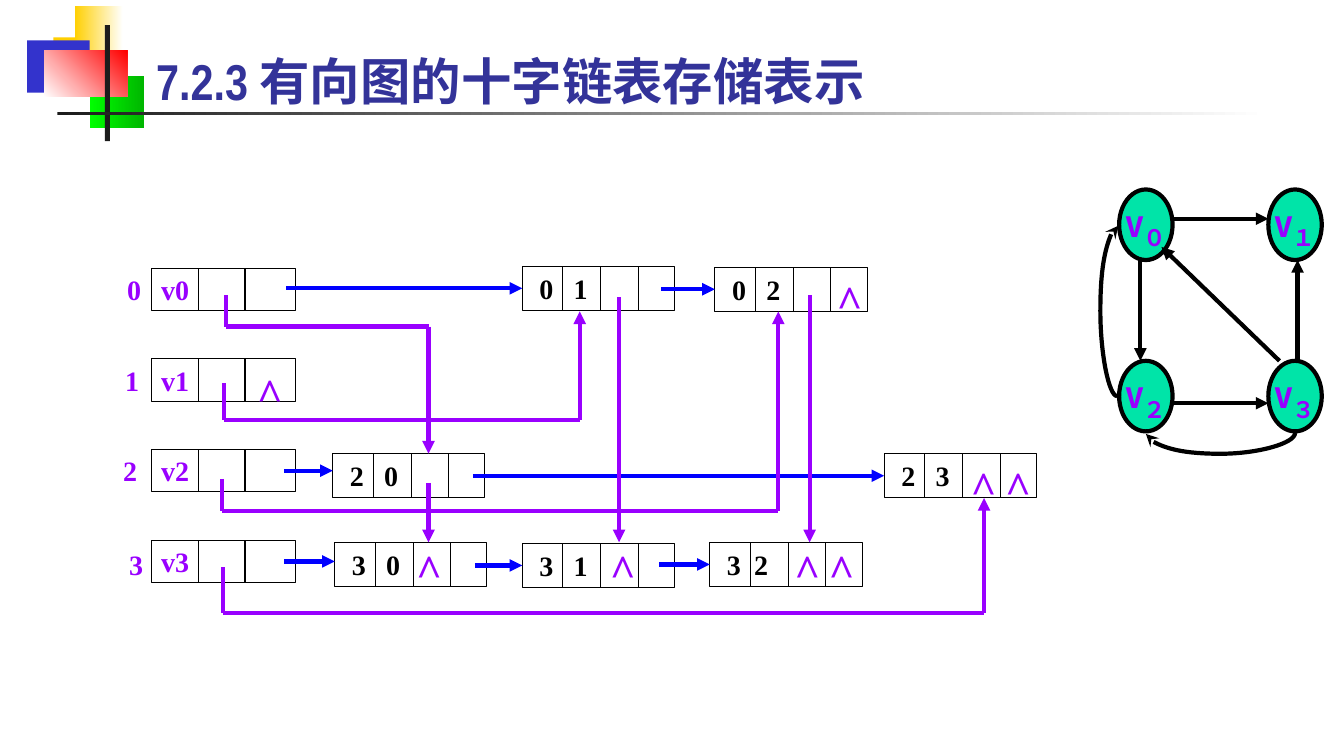
from dataclasses import dataclass
from itertools import pairwise
from typing import Any

import pptx
import pptx.dml.color
import pptx.enum.shapes
import pptx.enum.text
import pptx.oxml
import pptx.oxml.ns
import pptx.util

PX = 9144  # one px is a hundredth of an inch
KIND = pptx.enum.shapes.MSO_SHAPE
LINK = pptx.enum.shapes.MSO_CONNECTOR
ALIGN = pptx.enum.text.PP_ALIGN
ANCHOR = pptx.enum.text.MSO_ANCHOR
qn = pptx.oxml.ns.qn

Point = tuple[int, int]


@dataclass(frozen=True)
class Theme:
    black: str = "000000"
    white: str = "FFFFFF"
    blue: str = "0000FF"
    violet: str = "9900FF"
    mint: str = "00E4A8"
    title: str = "333399"
    gold: str = "FFCF01"
    navy: str = "3333CC"
    lime: str = "00FF00"
    green: str = "00B600"
    red: str = "FF0000"
    coal: str = "1C1C1C"
    serif: str = "Times New Roman"
    narrow: str = "Arial Narrow"
    cell: int = 20
    vertex: int = 28
    nil: int = 32
    head: int = 36
    thin: float = 0.75
    thick: float = 3


@dataclass(frozen=True)
class Box:
    left: int
    top: int
    width: int
    height: int


@dataclass(frozen=True)
class Block:
    box: Box
    start: str
    end: str = ""
    angle: int = 0


@dataclass(frozen=True)
class Row:
    top: int
    label: Point


@dataclass(frozen=True)
class Node:
    left: int
    top: int
    tail: int
    head: int
    tab: int = 34


@dataclass(frozen=True)
class Hop:
    """Arrow from a point to the left side of a node."""
    start: Point
    node: int


@dataclass(frozen=True)
class Curve:
    box: Box
    turn: int
    flip: bool
    bulge: int


T = Theme()
BLOCKS = [
    Block(Box(53, 37, 64, 52), T.gold),
    Block(Box(74, 6, 48, 52), T.gold, T.white),
    Block(Box(27, 40, 62, 52), T.navy),
    Block(Box(89, 75, 54, 52), T.lime, T.green),
    Block(Box(44, 50, 82, 46), T.white, T.red, 45),
    Block(Box(104, 25, 5, 115), T.coal),
    Block(Box(57, 111, 1200, 3), T.coal, T.white),
]
ROWS = [Row(266, (116, 266)), Row(356, (114, 356)),
        Row(446, (112, 445)), Row(536, (118, 538))]
NODES = [
    Node(518, 264, 0, 1), Node(709, 265, 0, 2),
    Node(330, 450, 2, 0), Node(877, 450, 2, 3),
    Node(332, 538, 3, 0), Node(518, 539, 3, 1), Node(704, 538, 3, 2, 27),
]
HOPS = [Hop((284, 286), 0), Hop((656, 286), 1), Hop((282, 467), 2),
        Hop((469, 471), 3), Hop((282, 557), 4), Hop((471, 559), 5),
        Hop((654, 559), 6)]
CHAINS: list[list[Point]] = [
    [(224, 293), (224, 324), (425, 324), (425, 450)],
    [(222, 380), (222, 417), (575, 417), (575, 309)],
    [(220, 475), (220, 507), (772, 507), (772, 309)],
    [(221, 563), (221, 608), (976, 608), (976, 494)],
    [(425, 479), (425, 538)],
    [(614, 295), (614, 538)],
    [(803, 293), (803, 538)],
]
NILS = [(820, 266), (245, 358), (987, 450), (953, 450),
        (812, 533), (403, 533), (595, 533), (778, 533)]
VERTS = {"０": (1110, 188), "１": (1258, 188),
         "２": (1110, 358), "３": (1258, 358)}
EDGES = [((1163, 217), (1258, 217)), ((1131, 259), (1131, 358)),
         ((1163, 400), (1258, 400)), ((1269, 358), (1152, 245)),
         ((1287, 359), (1287, 258))]
CURVES = [Curve(Box(1210, 356, 1, 148), 90, False, 21),
          Curve(Box(1108, 224, 1, 169), 180, True, -17)]

deck = pptx.Presentation()
deck.slide_width, deck.slide_height = 1333 * PX, 750 * PX
slide = deck.slides.add_slide(deck.slide_layouts[6])


def rgb(code: str) -> Any:
    return pptx.dml.color.RGBColor.from_string(code)


def shape(kind: Any, box: Box, fill: str = "", width: float = 0) -> Any:
    item = slide.shapes.add_shape(
        kind, box.left * PX, box.top * PX, box.width * PX, box.height * PX)
    item.shadow.inherit = False
    if fill:
        item.fill.solid()
        item.fill.fore_color.rgb = rgb(fill)
    else:
        item.fill.background()
    if width:
        item.line.color.rgb = rgb(T.black)
        item.line.width = pptx.util.Pt(width)
    else:
        item.line.fill.background()
    return item


def write(item: Any, text: str, size: int, color: str, face: str = T.serif,
          align: Any = ALIGN.LEFT, anchor: Any = ANCHOR.MIDDLE,
          wrap: bool = False, tab: int = 0) -> Any:
    frame = item.text_frame
    frame.word_wrap = wrap
    frame.vertical_anchor = anchor
    para = frame.paragraphs[0]
    para.text = text
    para.alignment = align
    if tab:
        para._p.get_or_add_pPr().append(pptx.oxml.parse_xml(
            f'<a:tabLst {pptx.oxml.ns.nsdecls("a")}>'
            f'<a:tab pos="{tab * PX}" algn="l"/></a:tabLst>'))
    font = para.font
    font.size, font.bold, font.name = pptx.util.Pt(size), True, face
    font.color.rgb = rgb(color)
    return para


def label(box: Box, *args: Any, **style: Any) -> None:
    item = slide.shapes.add_textbox(
        box.left * PX, box.top * PX, box.width * PX, box.height * PX)
    write(item, *args, **style)


def line(start: Point, end: Point, color: str = T.black,
         width: float = T.thick, tip: str = "", kind: Any = LINK.STRAIGHT) -> Any:
    item = slide.shapes.add_connector(kind, *(n * PX for n in start + end))
    item.line.color.rgb = rgb(color)
    item.line.width = pptx.util.Pt(width)
    props = item.element.spPr
    if tip:
        props.find(qn("a:ln")).append(pptx.oxml.parse_xml(
            f'<a:tailEnd {pptx.oxml.ns.nsdecls("a")} type="{tip}"/>'))
    props.append(pptx.oxml.parse_xml(
        f'<a:effectLst {pptx.oxml.ns.nsdecls("a")}/>'))
    return item


def record(box: Box, cuts: list[int]) -> Any:
    """Draw a framed record split by upright lines."""
    item = shape(KIND.RECTANGLE, box, width=T.thin)
    for cut in cuts:
        x = box.left + cut
        line((x, box.top), (x, box.top + box.height), width=T.thin)
    return item


def bend(curve: Curve) -> None:
    box = curve.box
    item = line((box.left, box.top), (box.left + box.width, box.top + box.height),
                tip="stealth", kind=LINK.CURVE)
    frame = item.element.spPr.find(qn("a:xfrm"))
    frame.set("rot", str(curve.turn * 60000))
    if curve.flip:
        frame.set("flipH", "1")
    item.element.spPr.find(qn("a:prstGeom")).get_or_add_avLst().append(
        pptx.oxml.parse_xml(
            f'<a:gd {pptx.oxml.ns.nsdecls("a")} name="adj1" '
            f'fmla="val {curve.bulge * 100000}"/>'))


for block in BLOCKS:
    item = shape(KIND.RECTANGLE, block.box, block.start)
    if block.end:
        item.fill.gradient()
        item.fill.gradient_angle = block.angle
        for stop, code in zip(item.fill.gradient_stops, (block.start, block.end)):
            stop.color.rgb = rgb(code)

for index, row in enumerate(ROWS):
    item = record(Box(150, row.top, 143, 42), [47, 93])
    write(item, f"v{index}", T.cell, T.violet)
    label(Box(*row.label, 34, 43), str(index), T.cell, T.violet, align=ALIGN.CENTER)

cells = []
for node in NODES:
    item = record(Box(node.left, node.top, 151, 44), [40, 78, 115])
    item.text_frame.margin_left = 17 * PX
    write(item, f"{node.tail}\t{node.head}", T.cell, T.black, wrap=True, tab=node.tab)
    cells.append(item)

for hop in HOPS:
    node, (x, y) = NODES[hop.node], hop.start
    middle = node.top + 22
    joined = abs(y - middle) <= 2
    y = middle if joined else y
    arrow = line((x, y), (node.left, y), T.blue, tip="triangle")
    if joined:
        arrow.end_connect(cells[hop.node], 1)

for chain in CHAINS:
    for start, end in pairwise(chain):
        line(start, end, T.violet, tip="triangle" if end == chain[-1] else "")

for spot in NILS:
    label(Box(*spot, 46, 63), "^", T.nil, T.violet, anchor=ANCHOR.TOP)

for digit, spot in VERTS.items():
    item = shape(KIND.OVAL, Box(*spot, 53, 70), T.mint, T.thick)
    para = write(item, "v", T.vertex, T.violet, T.narrow, ALIGN.CENTER)
    run = para.add_run()
    run.text = digit
    run.font._element.set("baseline", "-25000")
for start, end in EDGES:
    line(start, end, tip="triangle")
for curve in CURVES:
    bend(curve)

label(Box(145, 45, 934, 69), "7.2.3 有向图的十字链表存储表示",
      T.head, T.title, T.narrow, wrap=True)

deck.save("out.pptx")
